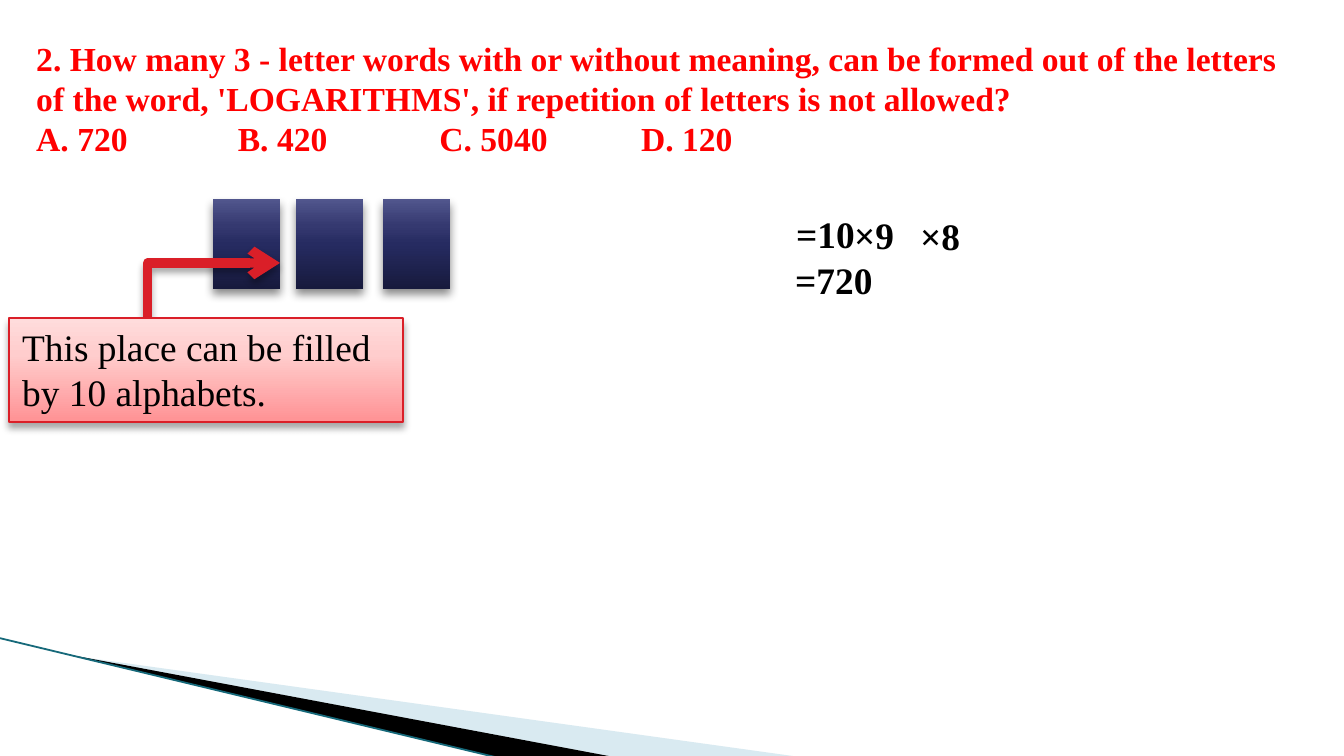
from pptx import Presentation
from pptx.dml.color import RGBColor
from pptx.enum.shapes import MSO_CONNECTOR as Connector, MSO_SHAPE as Preset
from pptx.enum.text import MSO_ANCHOR as Anchor, MSO_AUTO_SIZE as AutoSize, PP_ALIGN as Align
from pptx.oxml import parse_xml
from pptx.oxml.ns import nsdecls, qn
from pptx.util import Emu, Pt
from lxml import etree

SCALE = 914400 / 134.4
COLORS = {"question": "FF0000", "text": "000000", "pale": "A0CBDC", "band": "000000",
          "edge": "16697A", "accent": "DA1F28"}
LETTER_STOPS = [(0, "171A3D"), (50, "262B61"), (70, "353970"), (100, "51568D")]
NOTE_STOPS = [(0, "FF9294"), (65, "FFCDCD"), (100, "FFDCDC")]
COLORS = {name: RGBColor.from_string(value) for name, value in COLORS.items()}


def px(*lengths):
    return [Emu(round(length * SCALE)) for length in lengths]


def add_gradient_box(shapes, box, stops, alpha, blur):
    shape = shapes.add_shape(Preset.RECTANGLE, *px(*box))
    shape.shadow.inherit = False
    shape.fill.gradient()
    shape.fill.gradient_angle = 90
    stop_list = shape._element.spPr.find(".//" + qn("a:gsLst"))
    for stop in list(stop_list):
        stop_list.remove(stop)
    for position, color in stops:
        stop = etree.SubElement(stop_list, qn("a:gs"), pos=str(position * 1000))
        etree.SubElement(stop, qn("a:srgbClr"), val=color)
    shape.line.fill.background()
    shadowed.append((shape, alpha, blur))
    return shape


presentation = Presentation()
presentation.slide_width, presentation.slide_height = px(1344, 756)
slide = presentation.slides.add_slide(presentation.slide_layouts[6])
shapes = slide.shapes
shadowed = []

for color, points in [("pale", [(74, 656), (800, 757), (613, 757)]),
                      ("band", [(71, 655), (614, 757), (500, 758), (73, 656)])]:
    builder = shapes.build_freeform(*points[0], scale=SCALE)
    builder.add_line_segments(points[1:], close=True)
    shape = builder.convert_to_shape()
    shape.shadow.inherit = False
    shape.fill.solid()
    shape.fill.fore_color.rgb = COLORS[color]
    shape.line.fill.background()
    if color == "pale":
        fill_color = shape._element.spPr.find(".//" + qn("a:srgbClr"))
        etree.SubElement(fill_color, qn("a:alpha"), val="40000")

edge = shapes.add_connector(Connector.STRAIGHT, *px(-1, 638, 499, 758))
edge.line.color.rgb = COLORS["edge"]
edge.line.width = Pt(0.95)
etree.SubElement(edge._element.spPr, qn("a:effectLst"))

question = shapes.add_textbox(*px(23, 31, 1287, 136))

for left in (213, 296, 383):
    add_gradient_box(shapes, (left, 199, 67, 90), LETTER_STOPS, 45, 5)

arrow = shapes.add_connector(Connector.ELBOW, *px(157, 331, 280, 263))
arrow.line.color.rgb = COLORS["accent"]
arrow.line.width = Pt(5)
etree.SubElement(arrow.line._get_or_add_ln(), qn("a:tailEnd"), type="arrow")
geometry = arrow._element.spPr.find(qn("a:prstGeom"))
adjustments = geometry.find(qn("a:avLst"))
if adjustments is None:
    adjustments = etree.SubElement(geometry, qn("a:avLst"))
etree.SubElement(adjustments, qn("a:gd"), name="adj1", fmla="val -7600")
shadowed.append((arrow, 35, 4))

note = add_gradient_box(shapes, (9, 318, 394, 104), NOTE_STOPS, 35, 4)
note.line.color.rgb = COLORS["accent"]
note.line.width = Pt(0.75)

for shape, alpha, blur in shadowed:
    properties = shape._element.spPr
    for effects in properties.findall(qn("a:effectLst")):
        properties.remove(effects)
    properties.append(parse_xml(
        f'<a:effectLst {nsdecls("a")}><a:outerShdw blurRad="{Pt(blur)}" dist="{Pt(3)}" '
        f'dir="5400000" rotWithShape="0"><a:srgbClr val="000000">'
        f'<a:alpha val="{alpha * 1000}"/></a:srgbClr></a:outerShdw></a:effectLst>'))

question_lines = [
    "2. How many 3 - letter words with or without meaning, can be formed out of the letters "
    "of the word, 'LOGARITHMS', if repetition of letters is not allowed?",
    "A. 720\t\tB. 420\t\tC. 5040\t\tD. 120",
]
texts = [(question, question_lines, 18, True, "question", True),
         (note, ["This place can be filled by 10 alphabets."], 20, False, "text", True)]
for left, top, width, term in [(783, 205, 86, "=10"), (841, 206, 67, "×9"),
                               (907, 207, 67, "×8"), (782, 251, 105, "=720")]:
    box = shapes.add_textbox(*px(left, top, width, 59))
    texts.append((box, [term], 20, True, "text", False))

for shape, lines, size, bold, color, wrap in texts:
    frame = shape.text_frame
    frame_format = {"word_wrap": wrap, "auto_size": AutoSize.SHAPE_TO_FIT_TEXT,
                    "vertical_anchor": Anchor.TOP}
    for name, value in frame_format.items():
        setattr(frame, name, value)
    font_format = {"name": "Times New Roman", "size": Pt(size), "bold": bold}
    for index, line in enumerate(lines):
        paragraph = frame.add_paragraph() if index else frame.paragraphs[0]
        paragraph.alignment = Align.LEFT
        run = paragraph.add_run()
        run.text = line
        for name, value in font_format.items():
            setattr(run.font, name, value)
        run.font.color.rgb = COLORS[color]

presentation.save("out.pptx")
